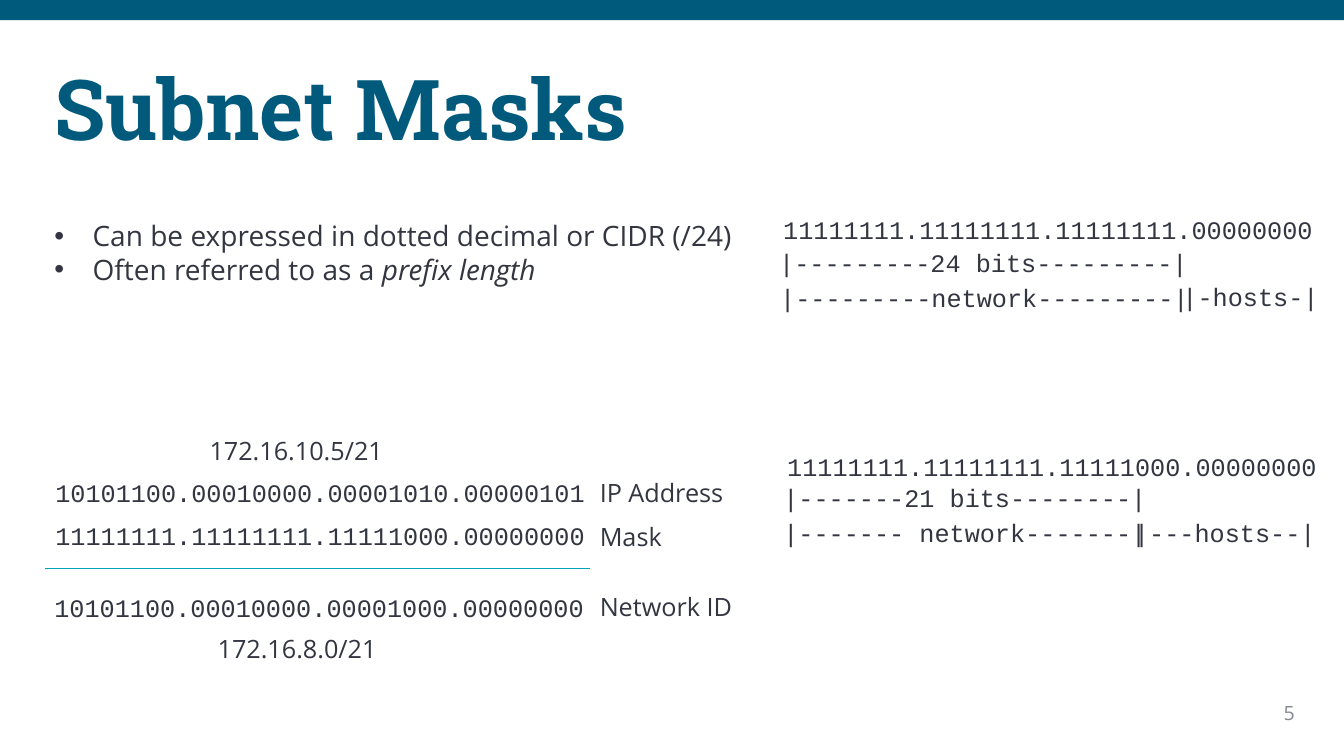
import pptx
import pptx.util
import pptx.dml.color
import pptx.enum.shapes
import pptx.enum.text
from lxml import etree

# Content: left, top in px (100 px per inch)
TITLE = "Subnet Masks"
BULLETS = [
    [("Can be expressed in dotted decimal or CIDR (/24)", False)],
    [("Often referred to as a ", False), ("prefix length", True)],
]
BIT_ROWS = [
    # address AND mask = network
    (45, 469, "10101100.00010000.00001010.00000101"),
    (45, 511, "11111111.11111111.11111000.00000000"),
    (44, 583, "10101100.00010000.00001000.00000000"),
    # /24 mask
    (767, 208, "11111111.11111111.11111111.00000000"),
    (763, 240, "|---------24 bits---------|"),
    (764, 275, "|---------network---------|"),
    (1163, 274, "|-hosts-|"),
    # /21 mask
    (771, 443, "11111111.11111111.11111000.00000000"),
    (767, 474, "|-------21 bits--------|"),
    (767, 508, "|------- network-------|"),
    (1115, 508, "|---hosts--|"),
]
LABELS = [  # left, top, width, text
    (198, 427, 195, "172.16.10.5/21"),
    (206, 623, 179, "172.16.8.0/21"),
    (585, 469, 148, "IP Address"),
    (585, 512, 85, "Mask"),
    (585, 582, 159, "Network ID"),
]
PAGE = "5"

THEME = {
    "bar": "005A7C", "rule": "00A4B8",
    "title": {"name": "Roboto Slab", "size": 60, "color": "015A7C", "bold": True},
    "body": {"name": "Open Sans", "size": 20, "color": "333641"},
    "label": {"name": "Open Sans", "size": 18, "color": "333641"},
    "bits": {"name": "Courier New", "size": 18, "color": "333641"},
    "page": {"name": "Open Sans", "size": 14, "color": "858891"},
}
ROW_H, INSET, CHAR_W = 40, 10, 15.1


def px(v):
    return round(v * 9144)


def rgb(value):
    return pptx.dml.color.RGBColor.from_string(value)


def add_run(p, text, style, italic=False):
    r = p.add_run()
    r.text = text
    for key, value in (THEME[style] | {"italic": italic}).items():
        if key == "color":
            r.font.color.rgb = rgb(value)
        else:
            setattr(r.font, key, pptx.util.Pt(value) if key == "size" else value)


def add_box(s, left, top, width, height, wrap=False):
    tf = s.shapes.add_textbox(*map(px, (left, top, width, height))).text_frame
    tf.word_wrap = wrap
    return tf


def add_bullet(p, indent):
    pr = p._p.get_or_add_pPr()
    pr.set("marL", str(px(indent)))
    pr.set("indent", str(-px(indent)))
    for tag, key, value in (("a:buFont", "typeface", "Arial"), ("a:buChar", "char", "•")):
        etree.SubElement(pr, pptx.oxml.ns.qn(tag)).set(key, value)


def main():
    prs = pptx.Presentation()
    prs.slide_width, prs.slide_height = px(1333), px(750)
    s = prs.slides.add_slide(prs.slide_layouts[5])

    # Top bar
    bar = s.shapes.add_shape(pptx.enum.shapes.MSO_SHAPE.RECTANGLE, 0, 0, px(1333), px(20))
    bar.shadow.inherit = False
    bar.fill.solid()
    bar.fill.fore_color.rgb = rgb(THEME["bar"])
    bar.line.fill.background()

    # Title
    sp = s.shapes.title
    sp.left, sp.top, sp.width, sp.height = map(px, (44, 40, 1242, 145))
    tf = sp.text_frame
    tf.auto_size = pptx.enum.text.MSO_AUTO_SIZE.NONE
    tf.vertical_anchor = pptx.enum.text.MSO_ANCHOR.MIDDLE
    p = tf.paragraphs[0]
    p.alignment = pptx.enum.text.PP_ALIGN.LEFT
    p.line_spacing = 0.9
    add_run(p, TITLE, "title")

    # Bullets
    tf = add_box(s, 44, 212, 717, 111, wrap=True)
    for i, parts in enumerate(BULLETS):
        p = tf.add_paragraph() if i else tf.paragraphs[0]
        add_bullet(p, 38)
        for text, italic in parts:
            add_run(p, text, "body", italic)

    # Bit rows, as wide as their characters, and labels
    for left, top, text in BIT_ROWS:
        tf = add_box(s, left, top, 2 * INSET + CHAR_W * len(text), ROW_H)
        add_run(tf.paragraphs[0], text, "bits")
    for left, top, width, text in LABELS:
        add_run(add_box(s, left, top, width, ROW_H).paragraphs[0], text, "label")

    # Rule above the result
    rule = s.shapes.add_connector(pptx.enum.shapes.MSO_CONNECTOR.STRAIGHT,
                                  *map(px, (45, 564, 585, 564)))
    rule.line.color.rgb = rgb(THEME["rule"])
    rule.line.width = pptx.util.Pt(0.5)
    etree.SubElement(rule._element.spPr, pptx.oxml.ns.qn("a:effectLst"))

    # Page number
    p = add_box(s, 1230, 690, 64, 34, wrap=True).paragraphs[0]
    p.alignment = pptx.enum.text.PP_ALIGN.RIGHT
    add_run(p, PAGE, "page")

    prs.save("out.pptx")


if __name__ == "__main__":
    main()
